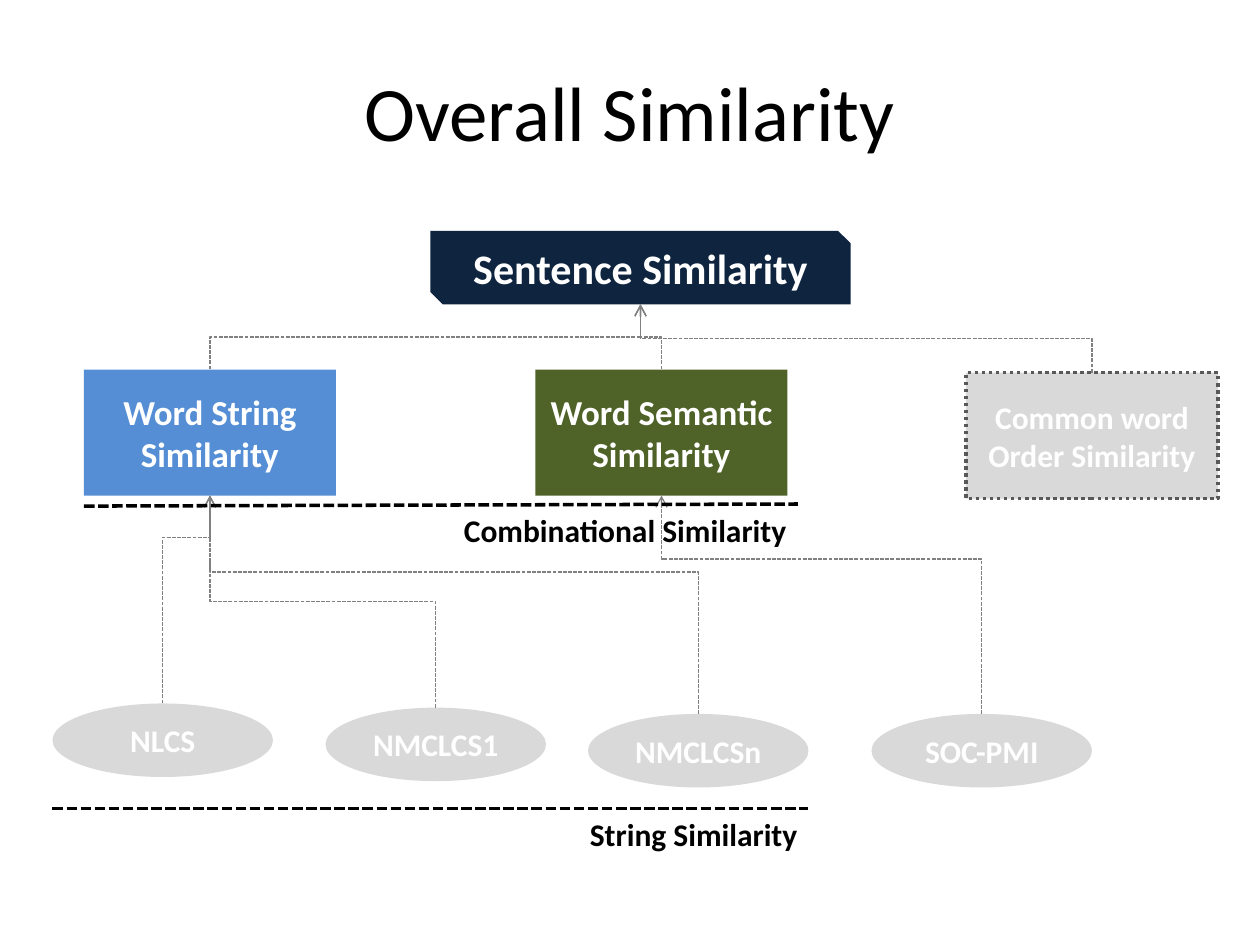
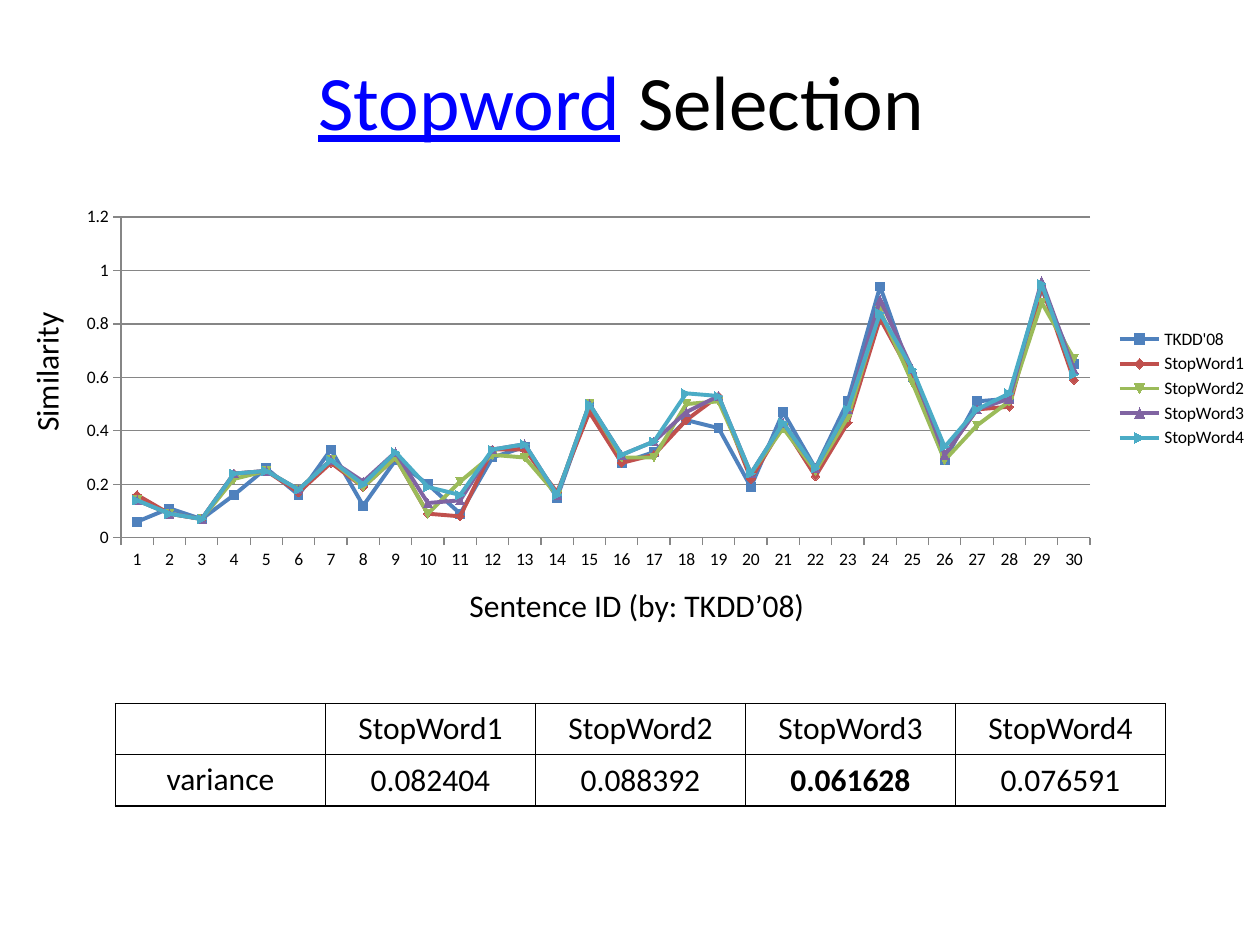
from dataclasses import dataclass

from lxml import etree
from pptx import Presentation
from pptx.chart.data import CategoryChartData
from pptx.dml.color import RGBColor
from pptx.enum.chart import XL_CHART_TYPE, XL_LEGEND_POSITION, XL_TICK_MARK
from pptx.enum.dml import MSO_LINE
from pptx.enum.shapes import MSO_CONNECTOR, MSO_SHAPE
from pptx.enum.text import MSO_ANCHOR, MSO_AUTO_SIZE, PP_ALIGN
from pptx.oxml.ns import qn
from pptx.util import Inches, Pt

RECT, ELLIPSE = MSO_SHAPE.RECTANGLE, MSO_SHAPE.OVAL
SNIPPED = MSO_SHAPE.SNIP_2_DIAG_RECTANGLE
ELBOW, STRAIGHT = MSO_CONNECTOR.ELBOW, MSO_CONNECTOR.STRAIGHT
LINE_MARKERS, LEGEND_RIGHT = XL_CHART_TYPE.LINE_MARKERS, XL_LEGEND_POSITION.RIGHT
OUTSIDE = XL_TICK_MARK.OUTSIDE
SHORT_DASH, DOTS = MSO_LINE.SQUARE_DOT, MSO_LINE.ROUND_DOT
LEFT, CENTER, MIDDLE = PP_ALIGN.LEFT, PP_ALIGN.CENTER, MSO_ANCHOR.MIDDLE
FIT_TEXT = MSO_AUTO_SIZE.SHAPE_TO_FIT_TEXT
COLUMNS, ROWS = 120, 90
TITLE_ONLY = 5
TOP, BOTTOM, SNIPPED_BOTTOM = 0, 2, 1  # connection sites


@dataclass(frozen=True)
class Theme:
    font: str = "Calibri"
    ink: str = "000000"
    paper: str = "FFFFFF"
    link: str = "0000FF"
    navy: str = "0F243E"
    blue: str = "558ED5"
    green: str = "4F6228"
    pale: str = "D9D9D9"
    outline: str = "595959"
    arrow: str = "808080"
    axis: str = "868686"
    series: tuple = ("4F81BD", "C0504D", "9BBB59", "8064A2", "4BACC6")
    title: int = 44
    root: int = 24
    branch: int = 20
    text: int = 18
    chart: int = 10


def rgb(code):
    return RGBColor.from_string(code)


class Deck:
    def __init__(self, theme):
        self.theme = theme
        self.prs = Presentation()
        self.prs.slide_width, self.prs.slide_height = Inches(10), Inches(7.5)
        self.slide = None

    def x(self, columns):
        return int(self.prs.slide_width * columns / COLUMNS)

    def y(self, rows):
        return int(self.prs.slide_height * rows / ROWS)

    def frame(self, column, row, width, height):
        return self.x(column), self.y(row), self.x(width), self.y(height)

    def style(self, paragraph, size, color, bold=False, align=CENTER):
        paragraph.alignment = align
        for run in paragraph.runs:
            font = run.font
            font.name, font.size, font.bold = self.theme.font, Pt(size), bold
            font.color.rgb = rgb(color)

    def add_slide(self, parts, title_row):
        """Start a slide; its title is made of the given runs."""
        self.slide = self.prs.slides.add_slide(self.prs.slide_layouts[TITLE_ONLY])
        title = self.slide.shapes.title
        title.left, title.top, title.width, title.height = self.frame(6, title_row, 108, 15)
        title.text_frame.vertical_anchor = MIDDLE
        paragraph = title.text_frame.paragraphs[0]
        for part in parts:
            paragraph.add_run().text = part
        self.style(paragraph, self.theme.title, self.theme.ink)
        return paragraph

    def node(self, kind, text, box, fill, size, border=None):
        shape = self.slide.shapes.add_shape(kind, *self.frame(*box))
        shape.shadow.inherit = False
        shape.fill.solid()
        shape.fill.fore_color.rgb = rgb(fill)
        if border:
            self.stroke(shape.line, border, 2, DOTS)
        else:
            shape.line.fill.background()
        shape.text_frame.text = text
        shape.text_frame.word_wrap = True
        shape.text_frame.vertical_anchor = MIDDLE
        self.style(shape.text_frame.paragraphs[0], size, self.theme.paper, True)
        return shape

    def label(self, text, box, bold=False, align=LEFT, wrap=False):
        label = self.slide.shapes.add_textbox(*self.frame(*box))
        label.text_frame.text = text
        label.text_frame.word_wrap = wrap
        label.text_frame.auto_size = FIT_TEXT
        self.style(label.text_frame.paragraphs[0], self.theme.text, self.theme.ink, bold, align)
        return label

    def stroke(self, line, color, width, dash=None):
        line.color.rgb = rgb(color)
        line.width = Pt(width)
        if dash:
            line.dash_style = dash

    def connector(self, kind, ends, color, width):
        line = self.slide.shapes.add_connector(kind, *ends)
        self.stroke(line.line, color, width, SHORT_DASH)
        etree.SubElement(line._element.spPr, qn("a:effectLst"))
        return line

    def divider(self, start, end):
        ends = self.x(start[0]), self.y(start[1]), self.x(end[0]), self.y(end[1])
        self.connector(STRAIGHT, ends, self.theme.ink, 2)

    def feed(self, child, parent, bend=0.5, site=BOTTOM):
        """Arrow from the child's top up to the parent's bottom, turning at share bend."""
        x1, y1 = child.left + child.width // 2, child.top
        x2, y2 = parent.left + parent.width // 2, parent.top + parent.height
        arrow = self.connector(ELBOW, (x1, y1, x2, y2), self.theme.arrow, 0.75)
        arrow.begin_connect(child, TOP)
        arrow.end_connect(parent, site)

        # The preset runs sideways, so turn it a quarter to run upwards.
        rise, run = y1 - y2, abs(x2 - x1)
        arrow.left, arrow.top = (x1 + x2 - rise) // 2, (y1 + y2 - run) // 2
        arrow.width, arrow.height = rise, run
        properties = arrow._element.spPr
        xfrm = properties.find(qn("a:xfrm"))
        rightward = x2 > x1
        xfrm.set("rot", str((90 if rightward else 270) * 60000))
        xfrm.set("flipH", str(int(rightward)))
        xfrm.set("flipV", "1")
        adjustments = properties.find(qn("a:prstGeom")).find(qn("a:avLst"))
        etree.SubElement(adjustments, qn("a:gd"), name="adj1", fmla=f"val {round(bend * 100000)}")
        etree.SubElement(properties.find(qn("a:ln")), qn("a:tailEnd"), type="arrow")

    def line_chart(self, box, categories, series):
        theme = self.theme
        data = CategoryChartData()
        data.categories = categories
        for name, values in series.items():
            data.add_series(name, values)
        chart = self.slide.shapes.add_chart(LINE_MARKERS, *self.frame(*box), data).chart
        chart.has_title = False
        chart.font.name, chart.font.size = theme.font, Pt(theme.chart)
        chart.font.color.rgb = rgb(theme.ink)
        chart.has_legend = True
        chart.legend.position = LEGEND_RIGHT
        chart.legend.include_in_layout = False
        for axis in (chart.category_axis, chart.value_axis):
            axis.major_tick_mark = OUTSIDE
            self.stroke(axis.format.line, theme.axis, 0.75)
        chart.value_axis.has_major_gridlines = True
        self.stroke(chart.value_axis.major_gridlines.format.line, theme.axis, 0.75)
        plot = chart.plots[0]
        plot.vary_by_categories = False
        for line, color in zip(plot.series, theme.series):
            line.smooth = False
            self.stroke(line.format.line, color, 2.25)
            line.marker.size = 5
            line.marker.format.fill.solid()
            line.marker.format.fill.fore_color.rgb = rgb(color)
            self.stroke(line.marker.format.line, color, 0.75)

    def border(self, cell):
        properties = cell._tc.get_or_add_tcPr()
        for position, side in enumerate(("lnL", "lnR", "lnT", "lnB")):
            line = etree.Element(qn(f"a:{side}"), w=str(Pt(1)))
            fill = etree.SubElement(line, qn("a:solidFill"))
            etree.SubElement(fill, qn("a:srgbClr"), val=self.theme.ink)
            properties.insert(position, line)

    def table(self, box, rows, best):
        """Plain grid whose best value is bold."""
        table = self.slide.shapes.add_table(len(rows), len(rows[0]), *self.frame(*box)).table
        table.first_row = table.horz_banding = False
        for r, row in enumerate(rows):
            for c, text in enumerate(row):
                cell = table.cell(r, c)
                cell.text = text
                cell.fill.background()
                self.border(cell)
                self.style(cell.text_frame.paragraphs[0], self.theme.text, self.theme.ink, text == best)
                if r and c:
                    cell.vertical_anchor = MIDDLE
                    cell.margin_left = cell.margin_right = 0
                    cell.margin_top = cell.margin_bottom = 0


SIMILARITY = {
    "TKDD'08": (
        0.06, 0.11, 0.07, 0.16, 0.26, 0.16, 0.33, 0.12, 0.29, 0.2,
        0.09, 0.3, 0.34, 0.15, 0.49, 0.28, 0.32, 0.44, 0.41, 0.19,
        0.47, 0.26, 0.51, 0.94, 0.6, 0.29, 0.51, 0.52, 0.93, 0.65),
    "StopWord1": (
        0.16, 0.09, 0.07, 0.24, 0.25, 0.17, 0.28, 0.19, 0.3, 0.09,
        0.08, 0.33, 0.33, 0.17, 0.47, 0.28, 0.31, 0.44, 0.53, 0.22,
        0.42, 0.23, 0.43, 0.82, 0.6, 0.31, 0.48, 0.49, 0.94, 0.59),
    "StopWord2": (
        0.14, 0.09, 0.07, 0.22, 0.25, 0.18, 0.29, 0.19, 0.3, 0.09,
        0.21, 0.31, 0.3, 0.16, 0.5, 0.3, 0.3, 0.5, 0.51, 0.24,
        0.41, 0.25, 0.45, 0.85, 0.58, 0.29, 0.42, 0.51, 0.88, 0.67),
    "StopWord3": (
        0.14, 0.09, 0.07, 0.24, 0.25, 0.18, 0.29, 0.21, 0.32, 0.13,
        0.14, 0.33, 0.35, 0.16, 0.5, 0.31, 0.36, 0.47, 0.53, 0.24,
        0.43, 0.26, 0.48, 0.89, 0.63, 0.31, 0.48, 0.52, 0.96, 0.63),
    "StopWord4": (
        0.14, 0.09, 0.07, 0.24, 0.25, 0.18, 0.29, 0.2, 0.32, 0.19,
        0.16, 0.33, 0.35, 0.16, 0.5, 0.31, 0.36, 0.54, 0.53, 0.24,
        0.43, 0.26, 0.48, 0.84, 0.63, 0.34, 0.48, 0.54, 0.95, 0.61),
}


def overall_similarity(deck):
    theme = deck.theme
    deck.add_slide(["Overall Similarity"], 3)
    sentence = deck.node(SNIPPED, "Sentence Similarity", (41, 22, 40, 7), theme.navy, theme.root)
    string = deck.node(RECT, "Word String Similarity", (8, 35.2, 24, 12), theme.blue, theme.branch)
    semantic = deck.node(RECT, "Word Semantic Similarity", (51, 35.2, 24, 12), theme.green, theme.branch)
    order = deck.node(RECT, "Common word Order Similarity", (92, 35.5, 24, 12),
                      theme.pale, theme.text, theme.outline)
    for branch in (string, semantic, order):
        deck.feed(branch, sentence, site=SNIPPED_BOTTOM)

    measures = (
        ("NLCS", 5, 67, string, 0.8),
        ("NMCLCS1", 31, 67.4, string, 0.5),
        ("NMCLCSn", 56, 68, string, 0.65),
        ("SOC-PMI", 83, 68, semantic, 0.71),
    )
    for name, column, row, branch, bend in measures:
        measure = deck.node(ELLIPSE, name, (column, row, 21, 7), theme.pale, theme.text)
        deck.feed(measure, branch, bend)

    deck.divider((8, 48.2), (76, 48))
    deck.label("Combinational Similarity", (43, 48.1, 33.4, 4.8), bold=True)
    deck.divider((5, 77), (77, 77))
    deck.label("String Similarity", (55, 77, 22.3, 4.8), bold=True)


def stopword_selection(deck):
    title = deck.add_slide(["Stopword", " Selection "], 2)
    stopword = title.runs[0].font
    stopword.underline = True
    stopword.color.rgb = rgb(deck.theme.link)

    sentence_ids = [str(number) for number in range(1, 31)]
    deck.line_chart((6, 19, 114, 36), sentence_ids, SIMILARITY)
    deck.label("Similarity", (-2.9, 32.6, 14.6, 4.8)).rotation = 270
    deck.label("Sentence ID (by: TKDD’08) ", (9, 55.2, 104, 4.8), align=CENTER, wrap=True)

    variance = (
        ("", *list(SIMILARITY)[1:]),
        ("variance", "0.082404", "0.088392", "0.061628", "0.076591"),
    )
    deck.table((11, 67, 100, 9.75), variance, best="0.061628")


def main():
    deck = Deck(Theme())
    overall_similarity(deck)
    stopword_selection(deck)
    deck.prs.save("out.pptx")


if __name__ == "__main__":
    main()
